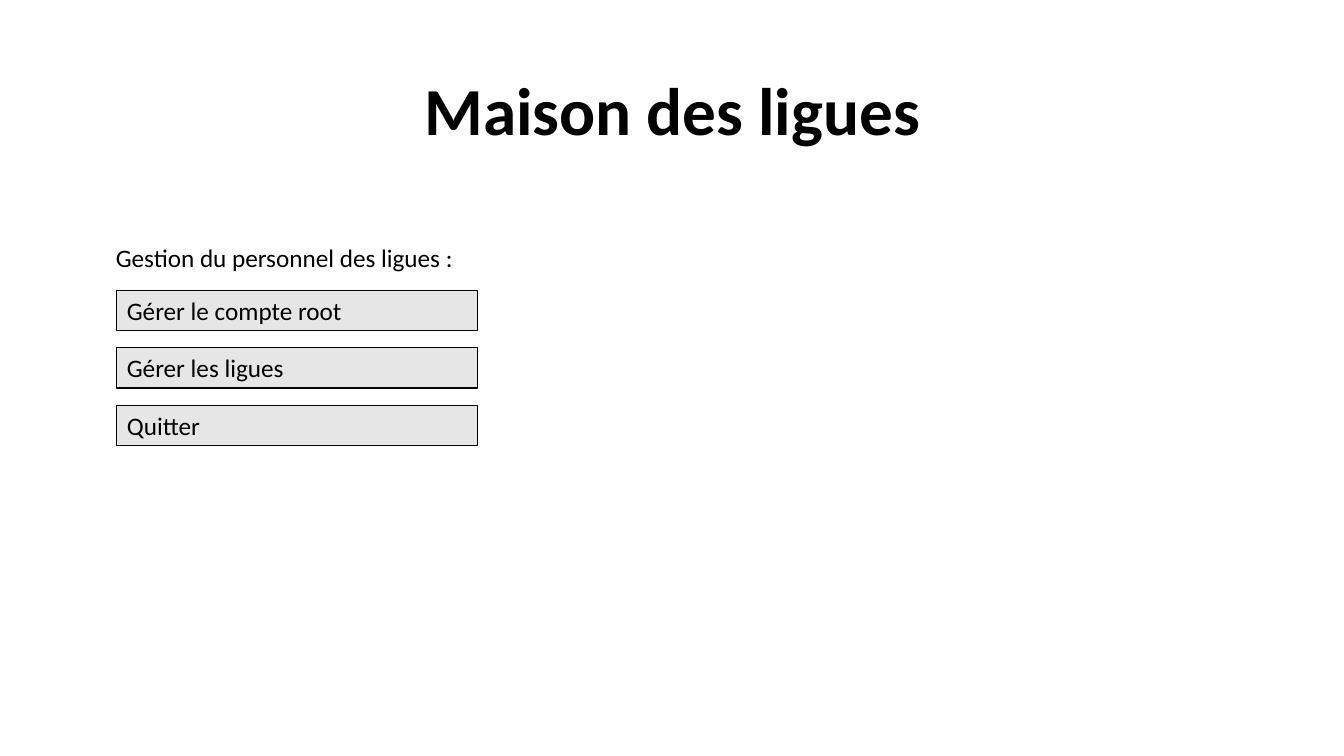
from pptx import Presentation
from pptx.dml.color import RGBColor
from pptx.enum.shapes import MSO_SHAPE
from pptx.enum.text import MSO_ANCHOR as Anchor, MSO_AUTO_SIZE as AutoSize, PP_ALIGN as Align
from pptx.util import Pt

PX = 9144
BLACK = "000000"
BUTTON_GREY = "E7E6E6"


def color(value):
    return RGBColor.from_string(value)


def write(shape, text, size, bold=False, align=Align.LEFT, anchor=Anchor.TOP):
    frame = shape.text_frame
    frame.word_wrap = True
    frame.vertical_anchor = anchor
    paragraph = frame.paragraphs[0]
    paragraph.alignment = align
    run = paragraph.add_run()
    run.text = text
    run.font.name = "Calibri"
    run.font.size = Pt(size)
    run.font.bold = bold
    run.font.color.rgb = color(BLACK)
    return frame


presentation = Presentation()
presentation.slide_width = 1333 * PX
presentation.slide_height = 750 * PX
slide = presentation.slides.add_slide(presentation.slide_layouts[6])

title = slide.shapes.add_textbox(92 * PX, 40 * PX, 1150 * PX, 145 * PX)
title_frame = write(title, "Maison des ligues", 48, True, Align.CENTER, Anchor.MIDDLE)
title_frame.paragraphs[0].line_spacing = 0.9

heading = slide.shapes.add_textbox(105 * PX, 235 * PX, 358 * PX, 40 * PX)
heading_frame = write(heading, "Gestion du personnel des ligues :", 18)
heading_frame.auto_size = AutoSize.SHAPE_TO_FIT_TEXT

menu = ["Gérer le compte root", "Gérer les ligues", "Quitter"]
for index, label in enumerate(menu):
    button = slide.shapes.add_shape(
        MSO_SHAPE.RECTANGLE, 116 * PX, (288 + 57 * index) * PX, 358 * PX, 40 * PX
    )
    button.shadow.inherit = False
    button.fill.solid()
    button.fill.fore_color.rgb = color(BUTTON_GREY)
    button.line.color.rgb = color(BLACK)
    button.line.width = Pt(0.75)
    button_frame = write(button, label, 18)
    button_frame.auto_size = AutoSize.SHAPE_TO_FIT_TEXT

presentation.save("out.pptx")
